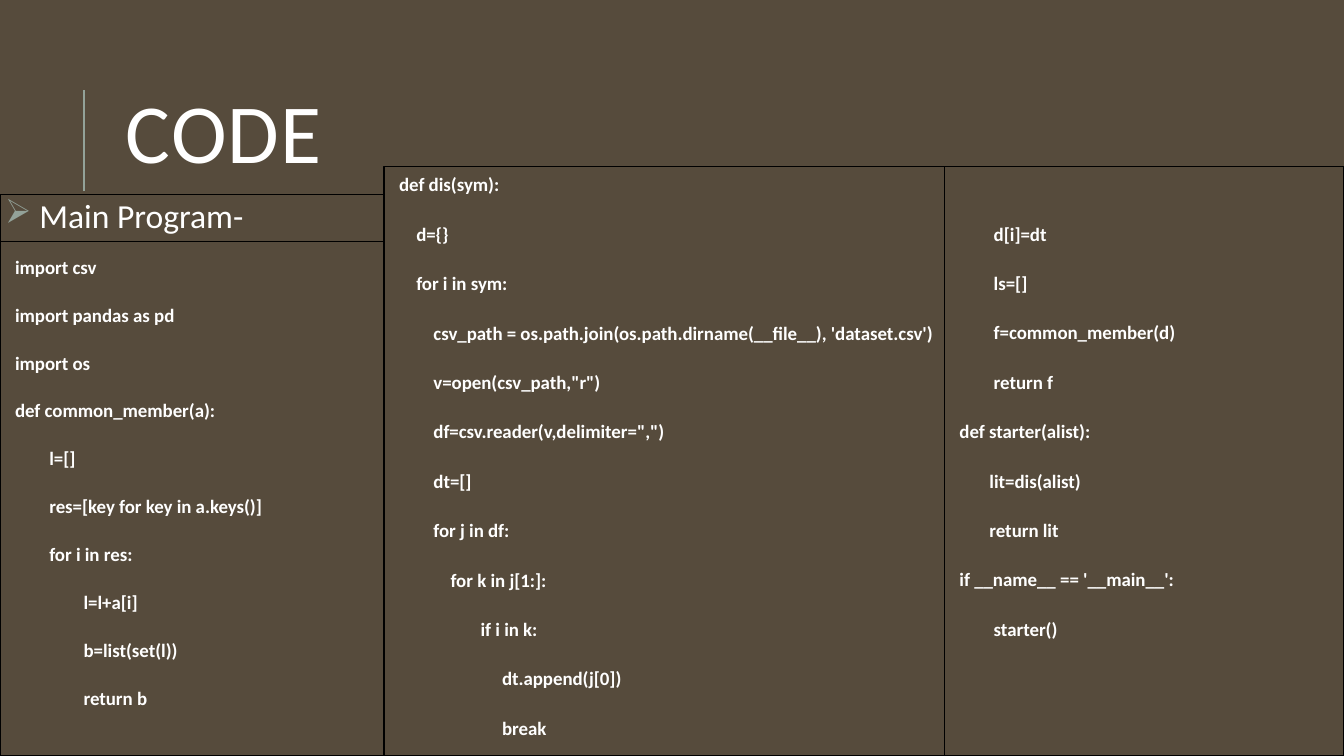
import pptx
import pptx.dml.color
import pptx.enum.shapes
import pptx.enum.text
import pptx.oxml
import pptx.oxml.ns
import pptx.util

Cm = pptx.util.Cm
Pt = pptx.util.Pt
BROWN = pptx.dml.color.RGBColor(0x56, 0x4B, 0x3C)
SAGE = pptx.dml.color.RGBColor(0x93, 0xA2, 0x99)
WHITE = pptx.dml.color.RGBColor(0xFF, 0xFF, 0xFF)
BLACK = pptx.dml.color.RGBColor(0, 0, 0)
FONT = "Calibri"
SPACE = Cm(0.108)
HANG = Cm(0.25)
INSET = Cm(0.13)

LEFT = """import csv
import pandas as pd
import os
def common_member(a):
        l=[]
        res=[key for key in a.keys()]
        for i in res:
                l=l+a[i]
                b=list(set(l))
                return b"""

MIDDLE = """def dis(sym):
    d={}
    for i in sym:
        csv_path = os.path.join(os.path.dirname(__file__), 'dataset.csv')
        v=open(csv_path,"r")
        df=csv.reader(v,delimiter=",")
        dt=[]
        for j in df:
            for k in j[1:]:
                   if i in k:
                        dt.append(j[0])
                        break"""

RIGHT = """        d[i]=dt
        ls=[]
        f=common_member(d)
        return f
def starter(alist):
       lit=dis(alist)
       return lit
if __name__ == '__main__':
        starter()"""


def style(para, size, bold=False):
    """Format the runs of a paragraph."""
    for run in para.runs:
        run.font.name = FONT
        run.font.size = Pt(size)
        run.font.bold = bold
        run.font.color.rgb = WHITE


def add_frame(slide, box):
    """Draw an outlined, unfilled box and return its text frame."""
    kind = pptx.enum.shapes.MSO_SHAPE.RECTANGLE
    shape = slide.shapes.add_shape(kind, *box)
    shape.shadow.inherit = False
    shape.fill.background()
    shape.line.color.rgb = BLACK
    shape.line.width = Pt(1)
    frame = shape.text_frame
    frame.word_wrap = True
    frame.vertical_anchor = pptx.enum.text.MSO_ANCHOR.TOP
    frame.margin_left = frame.margin_right = INSET
    frame.margin_top = frame.margin_bottom = INSET
    return frame


def add_para(frame, first, text, pitch, after):
    """Append a left-aligned paragraph with the given spacing."""
    para = frame.paragraphs[0] if first else frame.add_paragraph()
    para.text = text
    para.alignment = pptx.enum.text.PP_ALIGN.LEFT
    para.line_spacing = pitch
    para.space_before = Pt(12)
    para.space_after = Pt(after)
    return para


def add_bullet(para, mark):
    """Give a paragraph a hanging bullet."""
    props = para._p.get_or_add_pPr()
    props.set("marL", str(HANG))
    props.set("indent", str(-HANG))
    space = pptx.oxml.ns.nsdecls("a")
    props.append(pptx.oxml.parse_xml(
        f'<a:buClr {space}><a:srgbClr val="{SAGE}"/></a:buClr>'))
    props.append(pptx.oxml.parse_xml(f'<a:buChar {space} char="{mark}"/>'))


def add_code(slide, box, code, pitch, head=None, drop=0):
    """Fill a box with code, indenting each line by its depth."""
    frame = add_frame(slide, box)
    frame.margin_top = INSET + drop
    if head:
        para = add_para(frame, True, head, 0.9, 2)
        style(para, 24)
        add_bullet(para, "➢")
    for index, line in enumerate(code.splitlines()):
        text = line.lstrip()
        para = add_para(frame, index == 0 and not head, text, pitch, 6)
        style(para, 13.5, True)
        depth = len(line) - len(text)
        para._p.get_or_add_pPr().set("marL", str(HANG + depth * SPACE))


def add_title(slide, box, text):
    """Place the title and the rule at its left."""
    left, top, width, height = box
    rule = slide.shapes.add_connector(
        pptx.enum.shapes.MSO_CONNECTOR.STRAIGHT,
        left - Cm(0.81), top + Cm(3.4), left - Cm(0.81), top + Cm(0.86))
    rule.line.color.rgb = SAGE
    rule.line.width = Pt(1.5)
    rule._element.spPr.append(pptx.oxml.parse_xml(
        f'<a:effectLst {pptx.oxml.ns.nsdecls("a")}/>'))
    frame = slide.shapes.add_textbox(left, top, width, height).text_frame
    frame.word_wrap = True
    frame.vertical_anchor = pptx.enum.text.MSO_ANCHOR.MIDDLE
    para = frame.paragraphs[0]
    para.text = text
    para.line_spacing = 0.8
    style(para, 60)
    para.runs[0].font._element.set("spc", "100")


def main():
    """Build the slide and save it."""
    deck = pptx.Presentation()
    deck.slide_width, deck.slide_height = Cm(33.87), Cm(19.05)
    slide = deck.slides.add_slide(deck.slide_layouts[6])
    slide.background.fill.solid()
    slide.background.fill.fore_color.rgb = BROWN

    base, edge = deck.slide_height, deck.slide_width
    top, low = Cm(4.19), Cm(4.9)
    mid, right = Cm(9.68), Cm(23.8)
    add_title(slide, (Cm(2.92), Cm(1.42), Cm(27), Cm(4.17)), "CODE")
    add_code(slide, (0, low, mid, base - low), LEFT, 1, " Main Program-")
    add_code(slide, (mid, top, right - mid, base - top), MIDDLE, 1.07)
    add_code(slide, (right, top, edge - right, base - top), RIGHT, 1.07,
             drop=Cm(1.24))
    add_frame(slide, (Cm(-0.05), low, mid + Cm(0.05), Cm(1.19)))
    deck.save("out.pptx")


if __name__ == "__main__":
    main()
